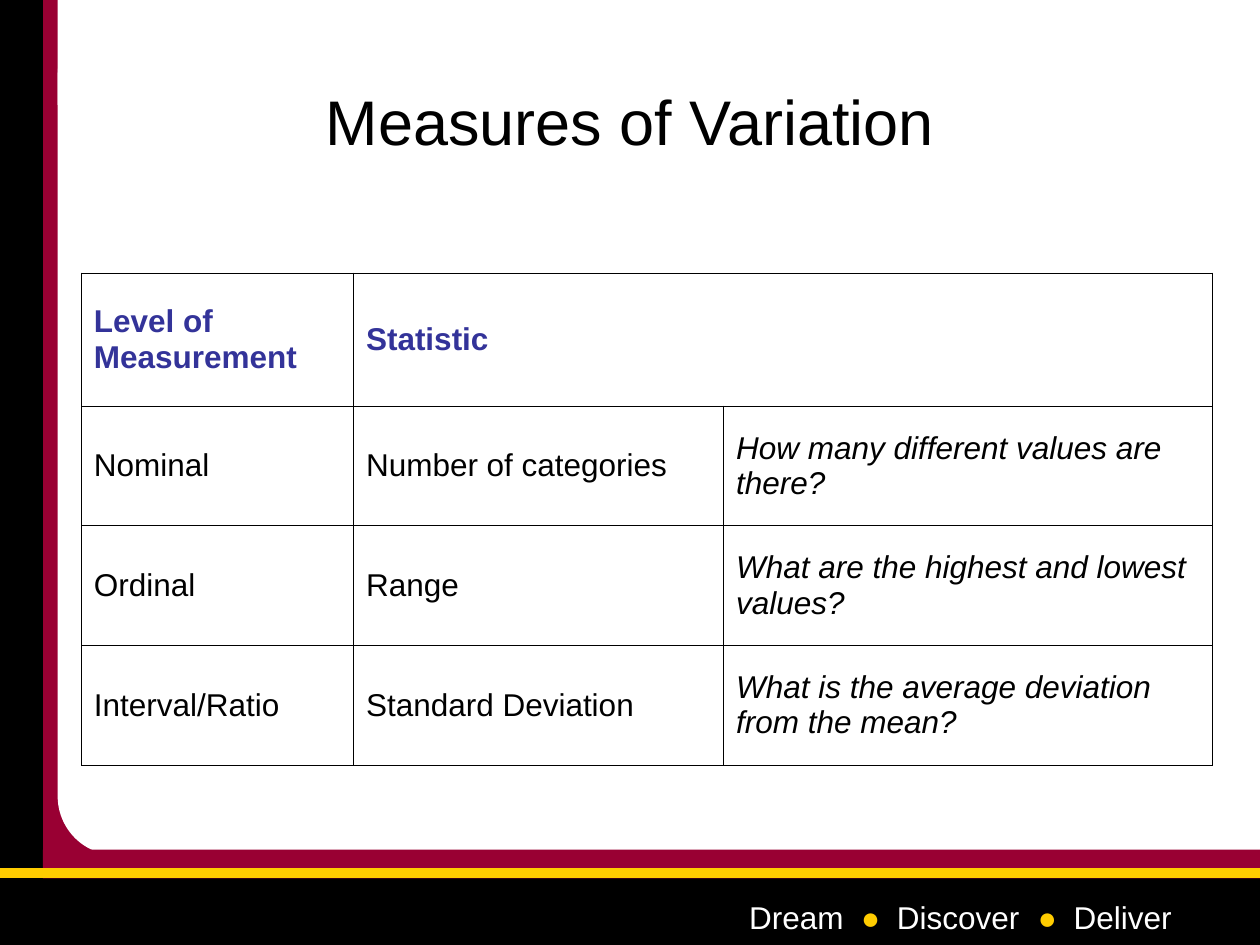
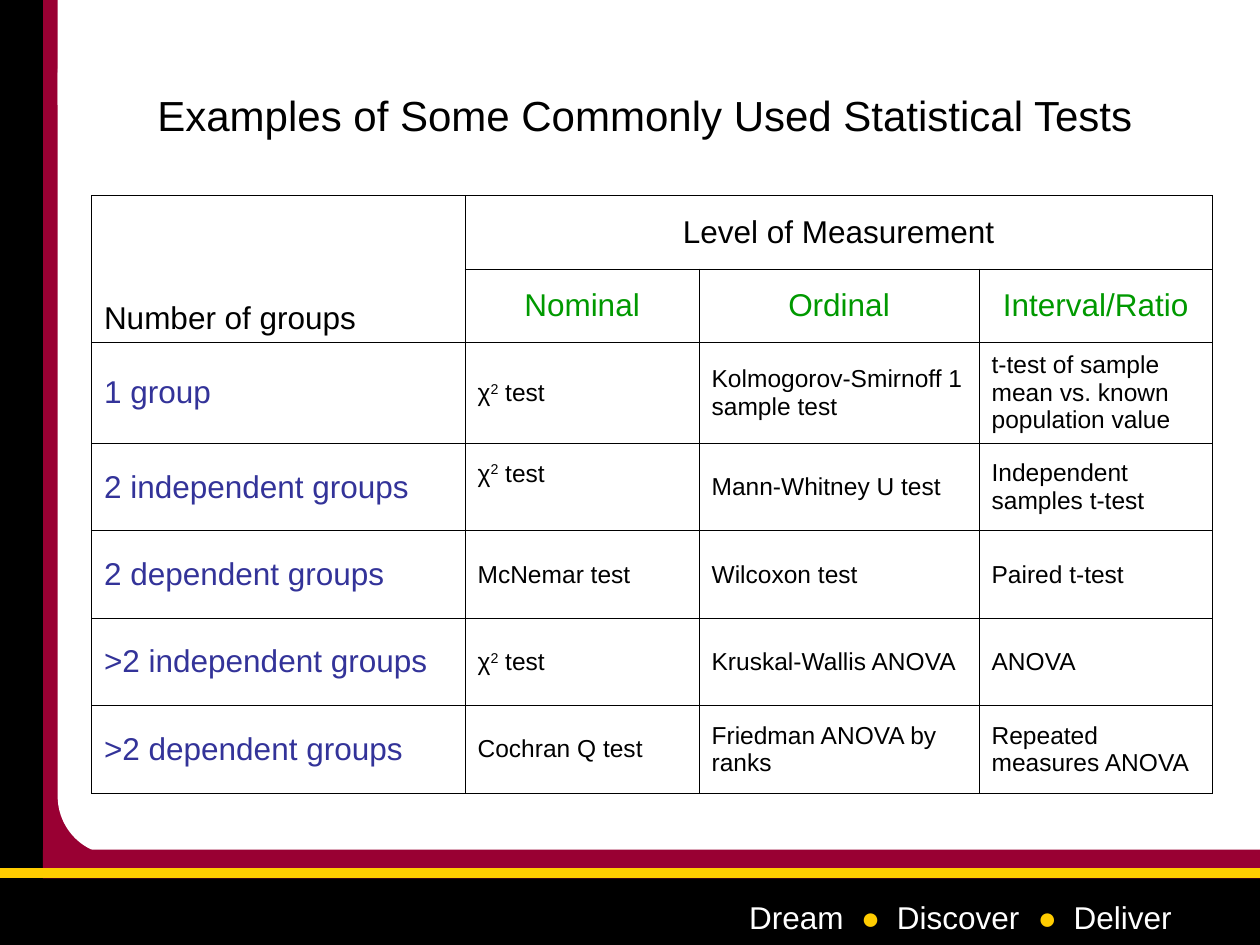
import pptx
import pptx.util
import pptx.dml.color
import pptx.enum.shapes
import pptx.enum.text
import lxml.etree
from pptx.oxml.ns import qn

Pt = pptx.util.Pt
SHAPE = pptx.enum.shapes.MSO_SHAPE
ANCHOR = pptx.enum.text.MSO_ANCHOR
ALIGN = pptx.enum.text.PP_ALIGN

COLORS = {
    "black": "000000",
    "white": "FFFFFF",
    "maroon": "990033",
    "gold": "FFCC00",
    "blue": "333399",
    "green": "009900",
}
WIDTH, HEIGHT = 720, 540
CHI_TEST = [("χ", {}), ("2", {"sup": True}), (" test", {})]


def rgb(name):
    return pptx.dml.color.RGBColor.from_string(COLORS[name])


def add_run(p, text, size=18, color="black", bold=False, italic=False, sup=False):
    r = p.add_run()
    r.text = text
    r.font.size = Pt(size)
    r.font.name = "Arial"
    r.font.bold = bold
    r.font.italic = italic
    r.font.color.rgb = rgb(color)
    if sup:
        r._r.get_or_add_rPr().set("baseline", "30000")


def add_block(slide, box, color, kind=SHAPE.RECTANGLE, outlined=False):
    sp = slide.shapes.add_shape(kind, *map(Pt, box))
    sp.shadow.inherit = False
    sp.fill.solid()
    sp.fill.fore_color.rgb = rgb(color)
    if outlined:
        sp.line.color.rgb = rgb(color)
        sp.line.width = Pt(0.75)
    else:
        sp.line.fill.background()


def add_text(slide, box, align=ALIGN.LEFT, anchor=ANCHOR.TOP):
    tf = slide.shapes.add_textbox(*map(Pt, box)).text_frame
    tf.word_wrap = True
    tf.vertical_anchor = anchor
    p = tf.paragraphs[0]
    p.alignment = align
    return p


def add_tabs(p, stops):
    tabs = lxml.etree.SubElement(p._p.get_or_add_pPr(), qn("a:tabLst"))
    for stop in stops:
        lxml.etree.SubElement(tabs, qn("a:tab"), pos=str(Pt(stop)), algn="l")


def add_frame(slide):
    add_block(slide, (23, 0, 31, HEIGHT), "maroon")
    add_block(slide, (75, 54, WIDTH - 75, HEIGHT - 54), "white")
    add_block(slide, (0, 0, 24, HEIGHT), "black", outlined=True)
    add_block(slide, (0, 501, WIDTH, HEIGHT - 501), "black", outlined=True)
    add_block(slide, (33, 8.75, 202.5, 480), "white", SHAPE.ROUNDED_RECTANGLE)
    add_block(slide, (33, 0, 46, 60), "white")


def add_footer(slide, top):
    add_block(slide, (24.5, top, WIDTH - 24.5, 16.5), "maroon")
    cxn = slide.shapes.add_connector(pptx.enum.shapes.MSO_CONNECTOR.STRAIGHT,
                                     0, Pt(top + 13.5), Pt(WIDTH), Pt(top + 13.5))
    cxn.line.color.rgb = rgb("gold")
    cxn.line.width = Pt(6)
    lxml.etree.SubElement(cxn._element.spPr, qn("a:effectLst"))
    p = add_text(slide, (421, top + 24.25, 287.5, 29))
    add_tabs(p, (64, 84.5, 165, 185.5))
    for text, color in [("Dream\t", "white"), ("●\t", "gold"), ("Discover\t", "white"),
                        ("●\t", "gold"), ("Deliver", "white")]:
        add_run(p, text, color=color)


def set_borders(cell, open_side=None):
    tcPr = cell._tc.get_or_add_tcPr()
    for side in "LRTB":
        ln = lxml.etree.SubElement(tcPr, qn("a:ln" + side), w=str(Pt(0.45)))
        if side == open_side:
            lxml.etree.SubElement(ln, qn("a:noFill"))
        else:
            fill = lxml.etree.SubElement(ln, qn("a:solidFill"))
            lxml.etree.SubElement(fill, qn("a:srgbClr"), val=COLORS["black"])


def add_grid(slide, left, top, cols, rows, texts, style_of, open_sides):
    box = map(Pt, (left, top, sum(cols), sum(rows)))
    tbl = slide.shapes.add_table(len(rows), len(cols), *box).table
    tbl.first_row = tbl.horz_banding = False
    for col, width in zip(tbl.columns, cols):
        col.width = Pt(width)
    for row, height in zip(tbl.rows, rows):
        row.height = Pt(height)
    for i, line in enumerate(texts):
        for j, content in enumerate(line):
            cell = tbl.cell(i, j)
            set_borders(cell, open_sides.get((i, j)))
            cell.fill.background()
            cell.vertical_anchor = ANCHOR.MIDDLE
            runs = [(content, {})] if isinstance(content, str) else content
            for text, extra in runs:
                if text:
                    add_run(cell.text_frame.paragraphs[0], text, **style_of(i, j), **extra)
    tbl.cell(0, 1).merge(tbl.cell(0, len(cols) - 1))
    return tbl


def add_content_slide(prs, title, size, box):
    slide = prs.slides.add_slide(prs.slide_layouts[6])
    add_frame(slide)
    add_footer(slide, 485.5)
    add_run(add_text(slide, box, ALIGN.CENTER, ANCHOR.MIDDLE), title, size=size)
    return slide


def build_variation(prs):
    slide = add_content_slide(prs, "Measures of Variation", 36, (54, 23.5, 612, 90))
    texts = [
        ["Level of Measurement", "Statistic", ""],
        ["Nominal", "Number of categories", "How many different values are there?"],
        ["Ordinal", "Range", "What are the highest and lowest values?"],
        ["Interval/Ratio", "Standard Deviation", "What is the average deviation from the mean?"],
    ]

    def style_of(i, j):
        if i == 0:
            return {"color": "blue", "bold": True}
        return {"italic": j == 2}

    add_grid(slide, 46.5, 156, [155.5, 211.5, 279.5], [76] + [68.4] * 3, texts, style_of, {})


def build_tests(prs):
    slide = add_content_slide(prs, "Examples of Some Commonly Used Statistical Tests", 24,
                              (30.5, 35.5, 676, 60))
    texts = [
        ["", "Level of Measurement", "", ""],
        ["Number of groups", "Nominal", "Ordinal", "Interval/Ratio"],
        ["1 group", CHI_TEST, "Kolmogorov-Smirnoff 1 sample test",
         "t-test of sample mean vs. known population value"],
        ["2 independent groups", CHI_TEST, "Mann-Whitney U test", "Independent samples t-test"],
        ["2 dependent groups", "McNemar test", "Wilcoxon test", "Paired t-test"],
        [">2 independent groups", CHI_TEST, "Kruskal-Wallis ANOVA", "ANOVA"],
        [">2 dependent groups", "Cochran Q test", "Friedman ANOVA by ranks",
         "Repeated measures ANOVA"],
    ]

    def style_of(i, j):
        if i < 2:
            return {"color": "green" if i == 1 and j else "black"}
        return {"size": 14} if j else {"color": "blue"}

    tbl = add_grid(slide, 52.25, 111.75, [213.5, 133.75, 160, 133.25], [42, 42, 57.5] + [50] * 4,
                   texts, style_of, {(0, 0): "B", (1, 0): "T"})
    for i, j in [(0, 1), (1, 1), (1, 2), (1, 3)]:
        tbl.cell(i, j).text_frame.paragraphs[0].alignment = ALIGN.CENTER
    tbl.cell(1, 0).vertical_anchor = ANCHOR.BOTTOM
    tbl.cell(3, 1).margin_bottom = Pt(19)


def main():
    prs = pptx.Presentation()
    prs.slide_width, prs.slide_height = Pt(WIDTH), Pt(HEIGHT)
    build_variation(prs)
    build_tests(prs)
    prs.save("out.pptx")


if __name__ == "__main__":
    main()
